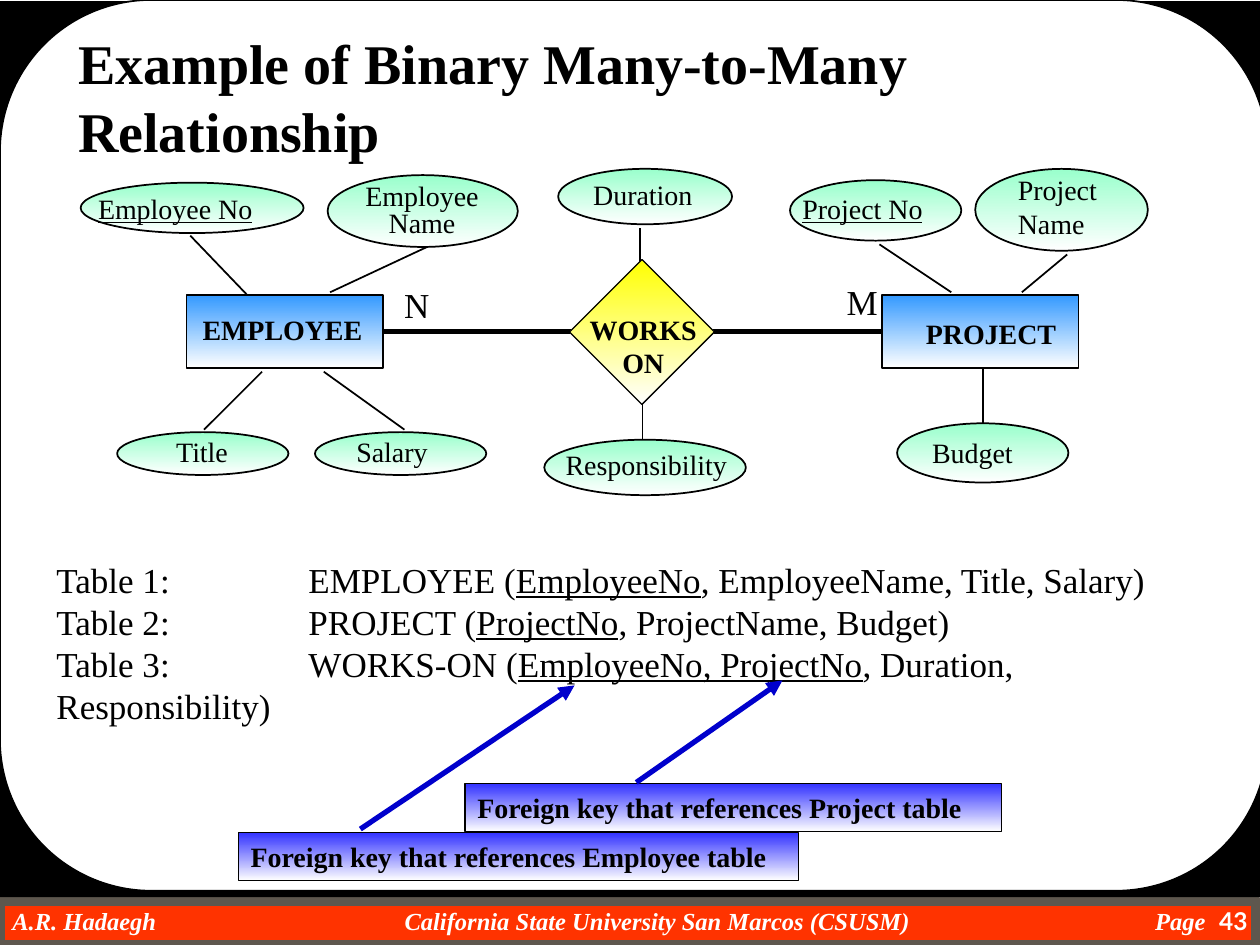
"""Build a slide on a binary many-to-many relationship and its three tables."""
from dataclasses import dataclass

from lxml import etree
from pptx import Presentation
from pptx.dml.color import RGBColor
from pptx.enum.shapes import MSO_CONNECTOR, MSO_SHAPE
from pptx.enum.text import MSO_ANCHOR, MSO_AUTO_SIZE, PP_ALIGN
from pptx.oxml.ns import qn
from pptx.util import Inches, Pt

RECTANGLE, ROUNDED = MSO_SHAPE.RECTANGLE, MSO_SHAPE.ROUNDED_RECTANGLE
ELLIPSE, DIAMOND = MSO_SHAPE.OVAL, MSO_SHAPE.DIAMOND
STRAIGHT = MSO_CONNECTOR.STRAIGHT
LEFT, CENTER, RIGHT = PP_ALIGN.LEFT, PP_ALIGN.CENTER, PP_ALIGN.RIGHT
TOP, MIDDLE = MSO_ANCHOR.TOP, MSO_ANCHOR.MIDDLE
NO_AUTOFIT = MSO_AUTO_SIZE.NONE

COLUMNS, ROWS = 100, 75
WIDTH, HEIGHT = Inches(10), Inches(7.5)
SERIF, SANS = "Times New Roman", "Lato"
COLORS = {
    "black": "000000", "white": "FFFFFF", "footer": "FF3300", "edge": "5E574E",
    "entity": "3399FF", "attribute": "99FFCC", "relationship": "FFFF00",
    "callout": "3333FF", "arrow": "0000CC",
}

Box = tuple[float, float, float, float]


@dataclass(frozen=True)
class Span:
    text: str
    underline: bool = False


@dataclass(frozen=True)
class Style:
    size: float = 16
    bold: bool = False
    italic: bool = False
    color: str = "black"
    font: str = SERIF
    align: PP_ALIGN = LEFT
    spacing: float | None = None
    anchor: MSO_ANCHOR = TOP
    wrap: bool = False
    tabs: tuple[tuple[float, str], ...] = ()


@dataclass(frozen=True)
class Node:
    kind: MSO_SHAPE
    box: Box
    color: str = "attribute"
    line: float = 1


@dataclass(frozen=True)
class Label:
    box: Box
    lines: tuple[tuple[Span, ...], ...]
    style: Style = Style()


@dataclass(frozen=True)
class Link:
    ends: Box
    width: float = 1
    color: str = "black"
    arrow: bool = False


def words(*lines: str, underline: bool = False) -> tuple[tuple[Span, ...], ...]:
    return tuple((Span(line, underline),) for line in lines)


def row(table: str, name: str, key: str, rest: str) -> tuple[Span, ...]:
    return Span(f"{table}:\t{name} ("), Span(key, True), Span(f", {rest})")


PLAIN, BOLD = Style(), Style(bold=True)
LARGE = Style(size=20)
TITLE = Style(size=32, bold=True, wrap=True)
CALLOUT = Style(bold=True, anchor=MIDDLE, wrap=True)

NODES = [
    Node(RECTANGLE, (14.8, 23.4, 15.6, 5.8), "entity", 0.75),
    Node(RECTANGLE, (70, 23.4, 15.6, 5.8), "entity", 0.75),
    Node(DIAMOND, (45.2, 20.6, 11.5, 11.5), "relationship", 0.75),
    Node(ELLIPSE, (6.4, 14.5, 17.7, 4)),
    Node(ELLIPSE, (26, 13.9, 15.1, 5.7)),
    Node(ELLIPSE, (9.3, 34.3, 13.6, 3.4)),
    Node(ELLIPSE, (25, 34.3, 13.6, 3.4)),
    Node(ELLIPSE, (44.3, 13.4, 13.8, 4.4)),
    Node(ELLIPSE, (43.2, 34.9, 16, 4.4)),
    Node(ELLIPSE, (62.7, 14.3, 13.6, 4.8)),
    Node(ELLIPSE, (77.4, 13.4, 13.7, 6.5)),
    Node(ELLIPSE, (71.2, 33.6, 13.6, 4.7)),
]
LABELS = [
    Label((15.1, 24.3, 14.7, 3.6), words("EMPLOYEE"), BOLD),
    Label((72.5, 24.6, 12.3, 3.6), words("PROJECT"), BOLD),
    Label((45.8, 24.3, 10.5, 6.3), words("WORKS", "ON"), Style(bold=True, align=CENTER)),
    Label((6.8, 14.7, 14.3, 3.6), words("Employee No", underline=True)),
    Label((28, 14.2, 11, 5.2), words("Employee", "Name"), Style(align=CENTER, spacing=0.8)),
    Label((13, 34, 6.2, 3.6), words("Title")),
    Label((27.3, 34, 7.7, 3.6), words("Salary")),
    Label((46.1, 13.6, 9.9, 3.6), words("Duration")),
    Label((43.9, 35, 14.9, 3.6), words("Responsibility")),
    Label((62.7, 14.7, 11.6, 3.6), words("Project No", underline=True)),
    Label((79.8, 13.2, 8.3, 6.3), words("Project", "Name")),
    Label((73, 34.1, 8.4, 3.6), words("Budget")),
    Label((31.1, 22, 4, 4.3), words("N"), LARGE),
    Label((66.2, 21.8, 4.5, 4.3), words("M"), LARGE),
    Label((3.5, 43.8, 94, 14.3), (
        row("Table 1", "EMPLOYEE", "EmployeeNo", "EmployeeName, Title, Salary"),
        row("Table 2", "PROJECT", "ProjectNo", "ProjectName, Budget"),
        row("Table 3", "WORKS-ON", "EmployeeNo, ProjectNo", "Duration, Responsibility"),
    ), Style(size=20, wrap=True, tabs=((20, "l"),))),
    Label((0, 71.5, 97, 3.2), words("A.R. Hadaegh\tCalifornia State University San Marcos (CSUSM)\tPage"),
          Style(size=14, bold=True, italic=True, color="white", anchor=MIDDLE, wrap=True,
                tabs=((51.2, "ctr"), (94.7, "r")))),
    Label((92.5, 71.2, 7.5, 3.8), words("43"),
          Style(size=14, bold=True, color="white", font=SANS, align=RIGHT, anchor=MIDDLE, wrap=True)),
]
LINKS = [
    Link((15.1, 18.7, 19.8, 23.6)), Link((33.9, 19.6, 26.2, 23.2)),
    Link((20.8, 29.5, 16.2, 34.1)), Link((25.7, 29.5, 32.1, 34.1)),
    Link((50.8, 18.1, 50.8, 20.8)), Link((51, 32.1, 51, 34.9)),
    Link((69.8, 19.4, 75.5, 23.2)), Link((84.7, 20.2, 81.1, 23.2)),
    Link((78, 33.7, 78, 29.2)),
    Link((46.4, 26.3, 30.3, 26.3), 3), Link((70, 26.3, 56.1, 26.3), 3),
]
ARROWS = [
    Link((28.6, 65.8, 45.6, 54.4), 3, "arrow", True),
    Link((50.5, 62.1, 62.1, 54), 3, "arrow", True),
]
CALLOUTS = [
    Label((18.9, 66.1, 44.5, 3.8), words("Foreign key that references Employee table"), CALLOUT),
    Label((36.9, 62.2, 42.6, 3.8), words("Foreign key that references Project table"), CALLOUT),
]


def color(name: str) -> RGBColor:
    return RGBColor.from_string(COLORS[name])


def place(box: Box) -> list[int]:
    return [round(share * length) for share, length in
            zip(box, (WIDTH / COLUMNS, HEIGHT / ROWS) * 2)]


def write(shape, lines: tuple[tuple[Span, ...], ...], style: Style) -> None:
    frame = shape.text_frame
    frame.word_wrap, frame.auto_size = style.wrap, NO_AUTOFIT
    frame.vertical_anchor = style.anchor
    frame.margin_left = frame.margin_right = Inches(0.1)
    frame.margin_top = frame.margin_bottom = Inches(0.05)
    for index, line in enumerate(lines):
        paragraph = frame.add_paragraph() if index else frame.paragraphs[0]
        paragraph.alignment = style.align
        if style.spacing:
            paragraph.line_spacing = style.spacing
        if style.tabs:
            stops = etree.SubElement(paragraph._p.get_or_add_pPr(), qn("a:tabLst"))
            for column, kind in style.tabs:
                etree.SubElement(stops, qn("a:tab"), pos=str(round(column * WIDTH / COLUMNS)), algn=kind)
        for span in line:
            run = paragraph.add_run()
            run.text, font = span.text, run.font
            font.name, font.size, font.color.rgb = style.font, Pt(style.size), color(style.color)
            font.bold, font.italic, font.underline = style.bold, style.italic, span.underline


def draw_shape(slide, kind: MSO_SHAPE, box: Box, fill: str, line: str | None, width: float = 1, faded: bool = False):
    shape = slide.shapes.add_shape(kind, *place(box))
    shape.shadow.inherit = False
    if faded:
        shape.fill.gradient()
        shape.fill.gradient_angle = 270
        for stop, name in zip(shape.fill.gradient_stops, (fill, "white")):
            stop.color.rgb = color(name)
    else:
        shape.fill.solid()
        shape.fill.fore_color.rgb = color(fill)
    if line:
        shape.line.color.rgb, shape.line.width = color(line), Pt(width)
    else:
        shape.line.fill.background()
    return shape


def draw_link(slide, link: Link) -> None:
    connector = slide.shapes.add_connector(STRAIGHT, *place(link.ends))
    connector.line.color.rgb, connector.line.width = color(link.color), Pt(link.width)
    if link.arrow:
        etree.SubElement(connector.line._get_or_add_ln(), qn("a:tailEnd"), type="triangle")
    etree.SubElement(connector.element.spPr, qn("a:effectLst"))


def main() -> None:
    presentation = Presentation()
    presentation.slide_width, presentation.slide_height = WIDTH, HEIGHT
    slide = presentation.slides.add_slide(presentation.slide_layouts[5])
    draw_shape(slide, RECTANGLE, (0, 71.5, 99.7, 3.5), "footer", "edge", 6)
    draw_shape(slide, RECTANGLE, (0, 0.1, COLUMNS, 71.1), "black", None)
    panel = draw_shape(slide, ROUNDED, (0, 0, 100.6, 70.7), "white", "black")
    panel.adjustments[0] = 0.17
    for link in LINKS:
        draw_link(slide, link)
    for node in NODES:
        draw_shape(slide, node.kind, node.box, node.color, "black", node.line, True)
    for label in LABELS:
        write(slide.shapes.add_textbox(*place(label.box)), label.lines, label.style)
    for callout in CALLOUTS:
        shape = draw_shape(slide, RECTANGLE, callout.box, "callout", "black", 0.75, True)
        write(shape, callout.lines, callout.style)
    for arrow in ARROWS:
        draw_link(slide, arrow)
    title = slide.shapes.title
    title.left, title.top, title.width, title.height = place((5.2, 1.8, 92.8, 11.7))
    write(title, words("Example of Binary Many-to-Many Relationship"), TITLE)
    title.element.getparent().append(title.element)
    presentation.save("out.pptx")


if __name__ == "__main__":
    main()
